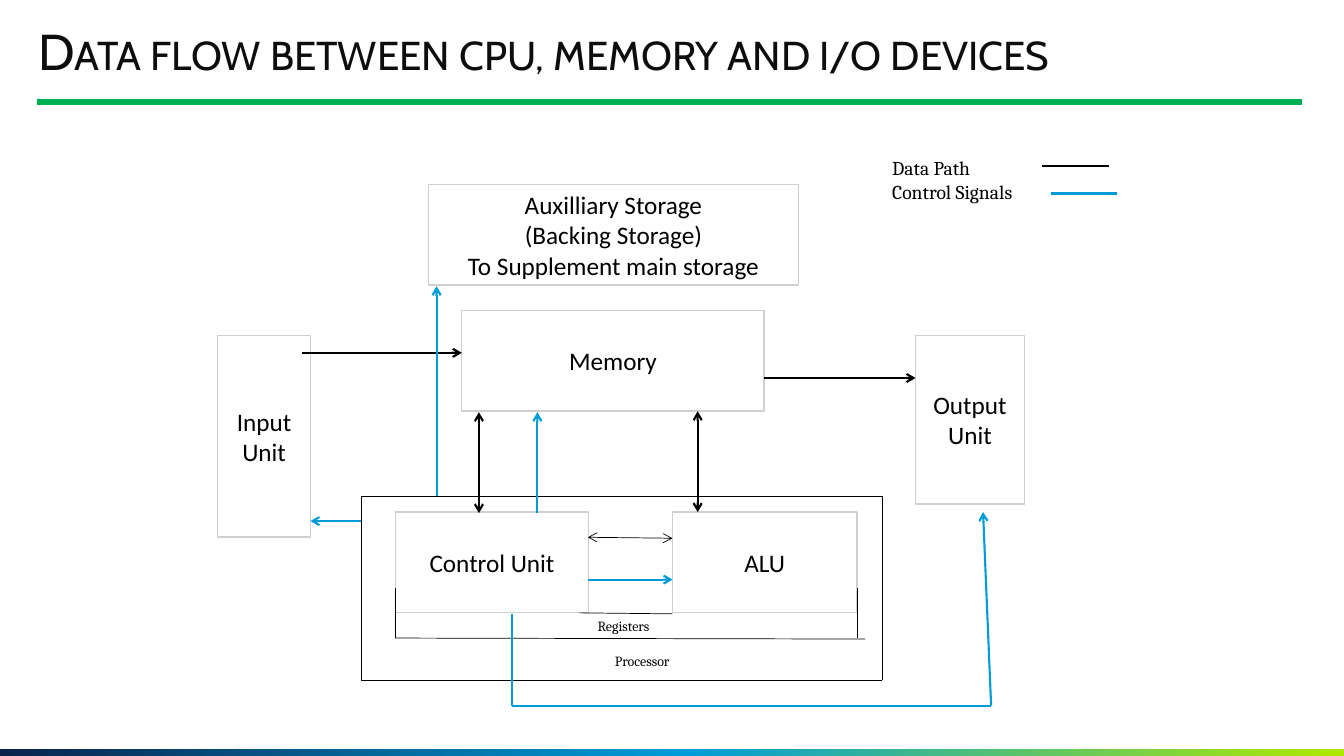
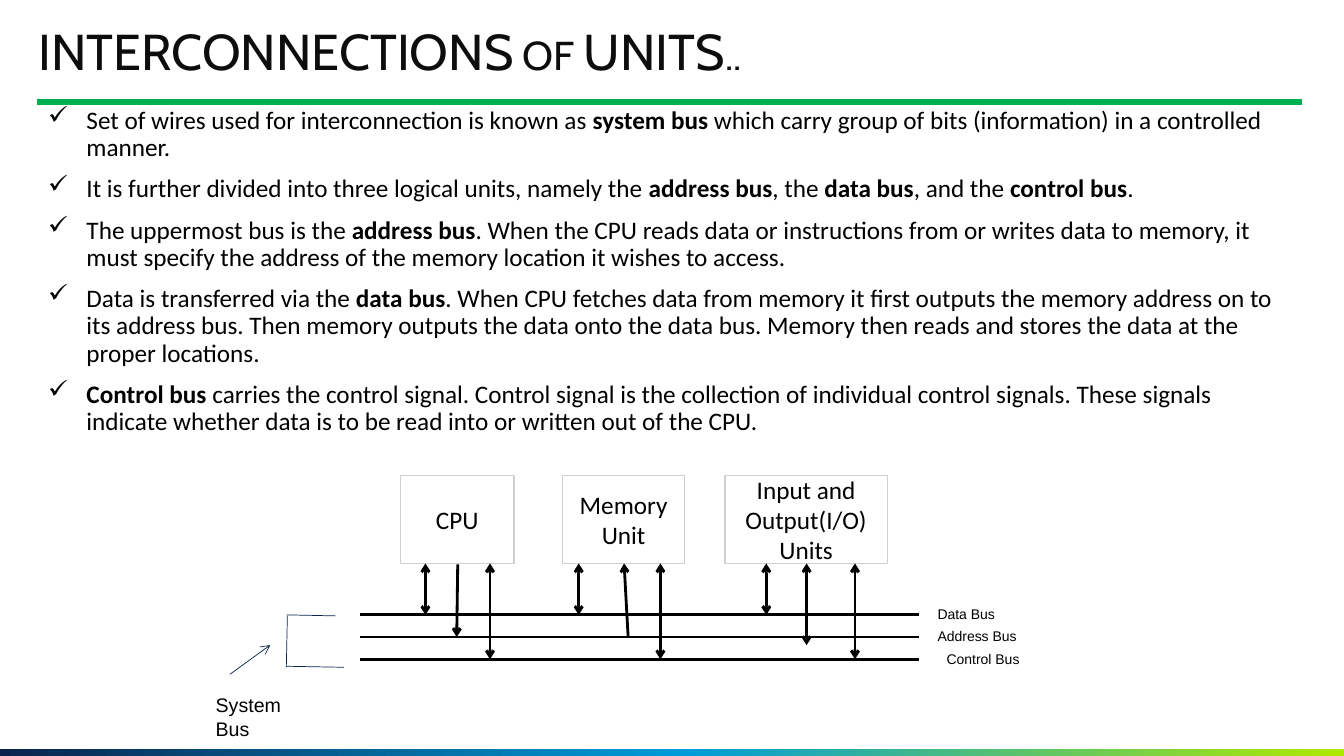
from copy import deepcopy

from lxml import etree
from pptx import Presentation
from pptx.dml.color import RGBColor
from pptx.enum.shapes import MSO_CONNECTOR, MSO_SHAPE
from pptx.enum.text import MSO_ANCHOR, PP_ALIGN
from pptx.oxml.ns import qn
from pptx.util import Pt

PX = 9144  # 100 px to the inch
RECT, STRAIGHT = MSO_SHAPE.RECTANGLE, MSO_CONNECTOR.STRAIGHT
LEFT, CENTER = PP_ALIGN.LEFT, PP_ALIGN.CENTER
TOP, MIDDLE = MSO_ANCHOR.TOP, MSO_ANCHOR.MIDDLE

COLORS = {
    "navy": "09244C", "blue": "009CDA", "lime": "B0E900", "green": "00B050",
    "title": "0D0D0D", "black": "000000", "white": "FFFFFF", "border": "D0CECE",
}
RGB = {name: RGBColor.from_string(value) for name, value in COLORS.items()}
BAND_STOPS = [(0, "navy"), (0.51, "blue"), (1, "lime")]
NO_MARGINS = {"margin_left": 0, "margin_top": 0, "margin_right": 0, "margin_bottom": 0}


def add_text(shapes, box, text, size, font, color="black", boxed=False):
    """Add a text box, or a bordered unit with centred text; *stars* mark bold."""
    box = [length * PX for length in box]
    if boxed:
        shape = shapes.add_shape(RECT, *box)
        shape.shadow.inherit = False
        shape.fill.solid()
        shape.fill.fore_color.rgb = RGB["white"]
        shape.line.color.rgb = RGB["border"]
        shape.line.width = Pt(1)
    else:
        shape = shapes.add_textbox(*box)
    frame = shape.text_frame
    frame.word_wrap = True
    frame.vertical_anchor = MIDDLE if boxed else TOP
    font_format = {"size": Pt(size), "name": font}
    for index, line in enumerate(text.split("\n")):
        paragraph = frame.add_paragraph() if index else frame.paragraphs[0]
        paragraph.alignment = CENTER if boxed else LEFT
        for part, words in enumerate(line.split("*")):
            if words:
                run = paragraph.add_run()
                run.text = words
                for name, value in font_format.items():
                    setattr(run.font, name, value)
                run.font.bold = part % 2 == 1
                run.font.color.rgb = RGB[color]
    return frame


def add_line(shapes, ends, color="black", width=1.5, arrows=""):
    """Draw a line; arrows names the ends with a head: "head", "tail" or both."""
    connector = shapes.add_connector(STRAIGHT, *[length * PX for length in ends])
    connector.line.color.rgb = RGB[color]
    connector.line.width = Pt(width)
    outline = connector.line._get_or_add_ln()
    for end in arrows.split():
        etree.SubElement(outline, qn(f"a:{end}End"), type="arrow")
    etree.SubElement(connector._element.spPr, qn("a:effectLst"))


deck = Presentation()
deck.slide_width, deck.slide_height = 1333 * PX, 750 * PX

# Shared title, rule and bottom band
slides = []
for title in ("Data flow between cpu, memory and i/o devices", "INTERCONNECTIONS of UNITS.."):
    slide = deck.slides.add_slide(deck.slide_layouts[6])
    slides.append(slide)

    band = slide.shapes.add_shape(RECT, 0, 743 * PX, 1333 * PX, 7 * PX)
    band.shadow.inherit = False
    band.line.fill.background()
    band.fill.gradient()
    band.fill.gradient_angle = 0
    stop_list = band._element.spPr.xpath(".//a:gsLst")[0]
    stop_list.append(deepcopy(stop_list[-1]))
    for stop, (position, color) in zip(band.fill.gradient_stops, BAND_STOPS):
        stop.position = position
        stop.color.rgb = RGB[color]

    add_line(slide.shapes, (37, 101, 1291, 101), "green", 4.5)
    heading = add_text(slide.shapes, (38, 27, 1119, 55), title, 36, "Cabin", "title")
    for name, value in NO_MARGINS.items():
        setattr(heading, name, value)
    heading.paragraphs[0].line_spacing = 0.9
    heading.paragraphs[0].runs[0]._r.get_or_add_rPr().set("cap", "small")

data_flow, interconnections = [slide.shapes for slide in slides]

# Data flow: units
for box, label in [
    ((425, 183, 367, 100), "Auxilliary Storage\n(Backing Storage)\nTo Supplement main storage"),
    ((458, 308, 300, 100), "Memory"),
    ((216, 333, 92, 200), "Input Unit"),
    ((392, 508, 192, 100), "Control Unit"),
    ((667, 508, 183, 100), "ALU"),
    ((908, 333, 108, 167), "Output Unit"),
]:
    add_text(data_flow, box, label, 18, "Calibri", boxed=True)

# Data flow: processor and register outlines
for ends in [
    (358, 492, 358, 675), (875, 492, 875, 675),
    (875, 675, 358, 675), (875, 492, 358, 492),
    (858, 634, 392, 633), (850, 583, 850, 633),
    (392, 583, 392, 633), (575, 608, 667, 609),
]:
    add_line(data_flow, ends, width=0.5)

# Data flow: data paths
add_line(data_flow, (583, 533, 667, 534), width=0.5, arrows="head tail")
for ends, arrows in [
    ((300, 350, 458, 350), "tail"),
    ((475, 409, 475, 509), "head tail"),
    ((692, 408, 692, 508), "head tail"),
    ((758, 375, 908, 375), "tail"),
    ((1033, 165, 1100, 165), ""),
]:
    add_line(data_flow, ends, arrows=arrows)

# Data flow: control signals
for ends, arrows in [
    ((358, 517, 308, 517), "tail"),
    ((433, 492, 433, 284), "tail"),
    ((533, 509, 533, 409), "tail"),
    ((583, 575, 667, 575), "tail"),
    ((508, 609, 508, 700), ""),
    ((508, 700, 983, 700), ""),
    ((983, 700, 975, 508), "tail"),
    ((1042, 192, 1108, 192), ""),
]:
    add_line(data_flow, ends, "blue", arrows=arrows)

for box, label, size in [
    ((583, 608, 100, 27), "Registers", 10),
    ((600, 642, 100, 27), "Processor", 10),
    ((875, 150, 192, 57), "Data Path\nControl Signals", 14),
]:
    add_text(data_flow, box, label, size, "Cambria")

# Interconnections: bus descriptions
BUS_POINTS = [
    "Set of wires used for interconnection is known as *system bus *which carry group of bits "
    "(information) in a controlled manner.",
    "It is further divided into three logical units, namely the *address bus*, the *data bus*, "
    "and the *control bus*.",
    "The uppermost bus is the *address bus*. When the CPU reads data or instructions from or "
    "writes data to memory, it must specify the address of the memory location it wishes to access.",
    "Data is transferred via the *data bus*. When CPU fetches data from memory it first outputs "
    "the memory address on to its address bus. Then memory outputs the data onto the data bus. "
    "Memory then reads and stores the data at the proper locations.",
    "*Control bus *carries the control signal. Control signal is the collection of individual "
    "control signals. These signals indicate whether data is to be read into or written out of "
    "the CPU.",
]
points = add_text(interconnections, (38, 102, 1246, 533), "\n".join(BUS_POINTS), 18, "Calibri")
for index, point in enumerate(points.paragraphs):
    properties = point._p.get_or_add_pPr()
    properties.set("marL", str(38 * PX))
    properties.set("indent", str(-38 * PX))
    etree.SubElement(properties, qn("a:buChar"), char="✓")
    point.line_spacing = 0.9
    point.space_before = Pt(10 if index else 0)

# Interconnections: units on the system bus
bus_diagram = interconnections.add_group_shape().shapes
for left, width, label in [
    (397, 113, "CPU"),
    (719, 161, "Input and Output(I/O) Units"),
    (558, 121, "Memory Unit"),
]:
    add_text(bus_diagram, (left, 472, width, 87), label, 18, "Calibri", boxed=True)

for row, (left, label) in enumerate(
    [(920, "Data Bus"), (920, "Address Bus"), (929, "Control Bus")]
):
    bus_y = 610 + 22 * row
    add_line(bus_diagram, (357, bus_y, 912, bus_y), width=2)
    add_text(bus_diagram, (left, bus_y - 14, 161, 24), label, 10, "Arial")

for x, bottom in [
    (422, 610), (486, 654), (574, 610), (655, 654), (760, 610), (800, 640), (848, 654),
]:
    add_line(bus_diagram, (x, 559, x, bottom), width=2, arrows="head tail")
for ends in [(454, 560, 453, 632), (623, 632, 619, 559)]:
    add_line(bus_diagram, ends, width=2, arrows="tail")

# Interconnections: system bus bracket
for ends, arrows in [
    ((285, 611, 284, 662), ""),
    ((284, 661, 341, 662), ""),
    ((284, 610, 333, 611), ""),
    ((228, 669, 268, 640), "tail"),
]:
    add_line(bus_diagram, ends, "navy", 0.5, arrows)
add_text(bus_diagram, (204, 683, 105, 50), "System Bus", 14, "Arial")

deck.save("out.pptx")
